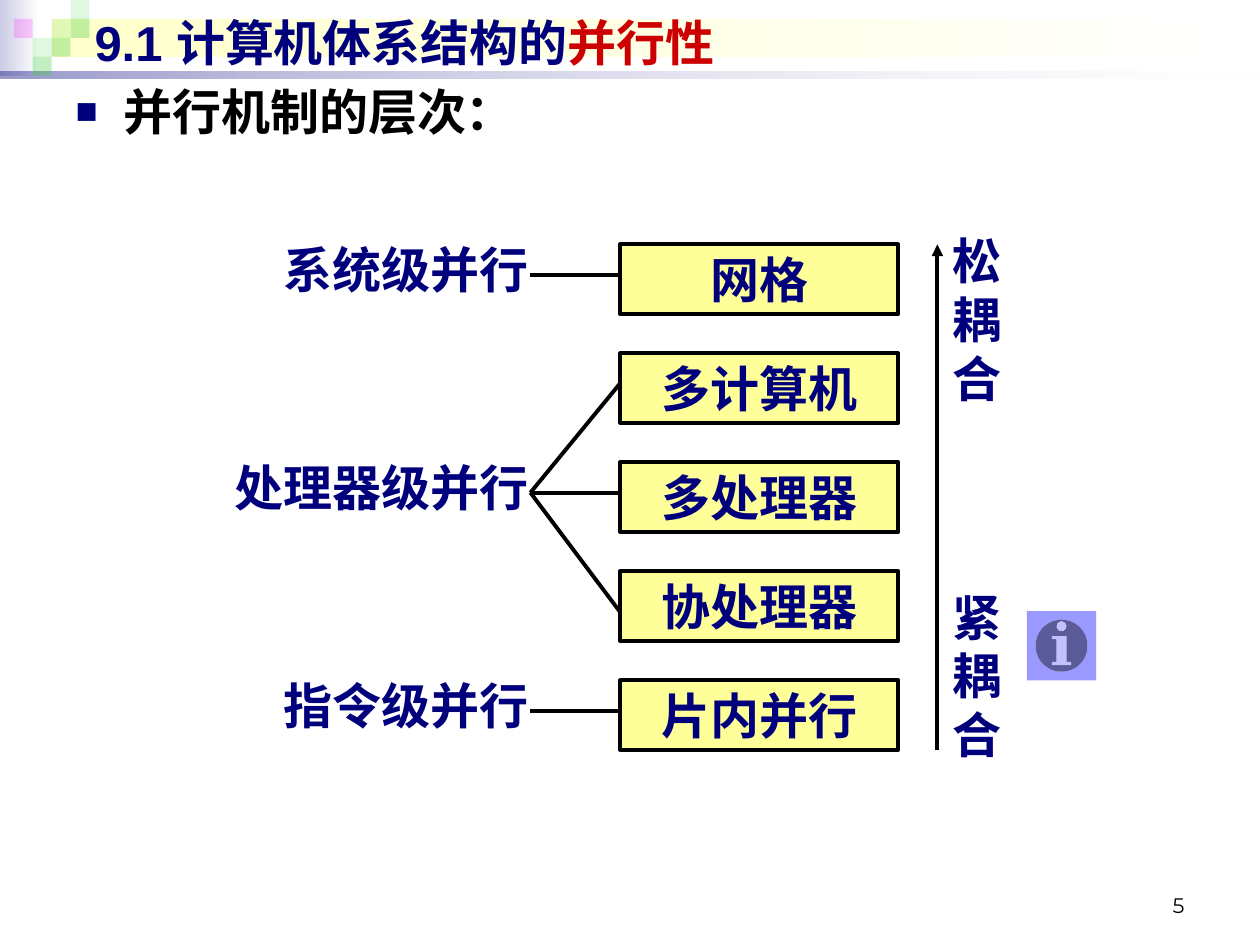
import pptx
import pptx.util
from lxml import etree
from pptx.dml.color import RGBColor
from pptx.enum.shapes import MSO_CONNECTOR, MSO_SHAPE
from pptx.enum.text import MSO_ANCHOR, MSO_AUTO_SIZE, PP_ALIGN
from pptx.oxml.ns import qn
from pptx.util import Inches, Pt

NAVY = RGBColor(0x00, 0x00, 0x7D)
RED = RGBColor(0xCC, 0x00, 0x00)
BLACK = RGBColor(0x00, 0x00, 0x00)
WHITE = RGBColor(0xFF, 0xFF, 0xFF)
YELLOW = RGBColor(0xFF, 0xFF, 0x99)
CREAM = RGBColor(0xFF, 0xFF, 0xCC)
LAVENDER = RGBColor(0xCC, 0xCC, 0xE6)
PERIWINKLE = RGBColor(0x99, 0x99, 0xFF)
GREEN = RGBColor(0x33, 0xCC, 0x33)
MAGENTA = RGBColor(0xFF, 0x00, 0xFF)

# Content
TITLE_RUNS = [("9.1 计算机体系结构的", NAVY), ("并行性", RED)]
HEADING = "并行机制的层次："
MECHANISMS = ["网格", "多计算机", "多处理器", "协处理器", "片内并行"]
# level, row of its label, {row of mechanism: where its link meets the box}
LEVELS = [
    ("系统级并行", 0, {0: 0.24}),
    ("处理器级并行", 2, {1: 0.24, 2: 0.24, 3: 0.32}),
    ("指令级并行", 4, {4: 0.24}),
]
COUPLINGS = [("紧耦合", 4.61), ("松耦合", 1.78)]
PAGE_NUMBER = "5"

# Banner: left, top, width, height, (colour, opacity) at both ends
BANDS = [
    (0, 0, 0.31, 0.6, (LAVENDER, 100), (WHITE, 100)),
    (0.41, 0.15, 9.55, 0.3, (CREAM, 100), (WHITE, 100)),
    (0, 0.57, 10, 0.05, (NAVY, 40), (WHITE, 10)),
]
# Mosaic: column, row, colour, opacity
TILE, MOSAIC_LEFT = 0.15, 0.11
TILES = [
    (2, 1, GREEN, 15), (3, 0, GREEN, 15), (3, 1, GREEN, 30), (1, 2, GREEN, 15),
    (0, 1, MAGENTA, 20), (2, 2, GREEN, 30), (1, 3, GREEN, 30),
]

# Diagram grid
BOX_LEFT, BOX_WIDTH, BOX_HEIGHT = 4.92, 2.21, 0.55
FIRST_TOP, LAST_TOP = 1.94, 5.4
ROW_TOPS = [FIRST_TOP + row * (LAST_TOP - FIRST_TOP) / (len(MECHANISMS) - 1)
            for row in range(len(MECHANISMS))]
LINK_LEFT, LINK_DROP = 4.21, 0.24
ARROW_X = 7.44

deck = pptx.Presentation()
deck.slide_width, deck.slide_height = Inches(10), Inches(7.5)
slide = deck.slides.add_slide(deck.slide_layouts[1])
shapes = slide.shapes


def inches(*lengths):
    return [Inches(length) for length in lengths]


def set_opacity(color_parent, *percents):
    colors = color_parent.iter(qn("a:srgbClr"))
    for color, percent in zip(colors, percents):
        if percent < 100:
            etree.SubElement(color, qn("a:alpha"), val=str(percent * 1000))


def add_block(kind, left, top, width, height, color=None):
    block = shapes.add_shape(kind, *inches(left, top, width, height))
    block.shadow.inherit = False
    block.line.fill.background()
    if color is not None:
        block.fill.solid()
        block.fill.fore_color.rgb = color
    return block


def style(paragraph, align, font="Times New Roman", size=28, color=NAVY, bold=True):
    paragraph.alignment = align
    paragraph.space_before = Pt(0)
    paragraph.font.name = font
    paragraph.font.size = Pt(size)
    paragraph.font.bold = bold
    if color is not None:
        paragraph.font.color.rgb = color


def add_label(text, left, top, width, height, align, **look):
    frame = shapes.add_textbox(*inches(left, top, width, height)).text_frame
    frame.word_wrap = True
    frame.text = text
    style(frame.paragraphs[0], align, **look)
    return frame


def add_line(x1, y1, x2, y2):
    line = shapes.add_connector(MSO_CONNECTOR.STRAIGHT, *inches(x1, y1, x2, y2))
    line.line.color.rgb = BLACK
    line.line.width = Pt(2.25)
    etree.SubElement(line.element.spPr, qn("a:effectLst"))
    return line


def place(holder, left, top, width, height):
    holder.left, holder.top, holder.width, holder.height = inches(left, top, width, height)
    holder.text_frame.auto_size = MSO_AUTO_SIZE.NONE
    shapes.element.append(holder.element)  # in front of the banner


# Banner
for left, top, width, height, start, end in BANDS:
    band = add_block(MSO_SHAPE.RECTANGLE, left, top, width, height)
    band.fill.gradient()
    band.fill.gradient_angle = 0
    for stop, position, (color, _) in zip(band.fill.gradient_stops, (0, 1), (start, end)):
        stop.position = position
        stop.color.rgb = color
    set_opacity(band.element.spPr, start[1], end[1])
for column, row, color, opacity in TILES:
    tile = add_block(MSO_SHAPE.RECTANGLE, MOSAIC_LEFT + column * TILE, row * TILE,
                     TILE, TILE, color)
    set_opacity(tile.element.spPr, opacity)

# Page number
page_frame = add_label(PAGE_NUMBER, 7.17, 6.83, 2.33, 0.5, PP_ALIGN.RIGHT,
                       font="Montserrat", size=12, color=BLACK, bold=False)
page_frame.vertical_anchor = MSO_ANCHOR.BOTTOM

# Title
title = shapes.title
body = slide.placeholders[1]
place(title, 0.65, 0.05, 9, 0.57)
title.text_frame.vertical_anchor = MSO_ANCHOR.MIDDLE
title_line = title.text_frame.paragraphs[0]
for text, color in TITLE_RUNS:
    run = title_line.add_run()
    run.text = text
    run.font.color.rgb = color
style(title_line, PP_ALIGN.LEFT, font="Arial", color=None)

# Heading with a square bullet
place(body, 0.5, 0.6, 9.15, 6.69)
body.text_frame.text = HEADING
heading = body.text_frame.paragraphs[0]
bullet = heading._p.get_or_add_pPr()
bullet.set("marL", str(Inches(0.38)))
bullet.set("indent", str(-Inches(0.38)))
bullet_color = etree.SubElement(bullet, qn("a:buClr"))
etree.SubElement(bullet_color, qn("a:srgbClr"), val=str(NAVY))
etree.SubElement(bullet, qn("a:buSzPct"), val="75000")
etree.SubElement(bullet, qn("a:buChar"), char="■")
style(heading, PP_ALIGN.LEFT, color=BLACK)

# Mechanisms
for mechanism, top in zip(MECHANISMS, ROW_TOPS):
    box = add_block(MSO_SHAPE.RECTANGLE, BOX_LEFT, top, BOX_WIDTH, BOX_HEIGHT, YELLOW)
    box.line.color.rgb = BLACK
    box.line.width = Pt(2.25)
    box.text_frame.word_wrap = False
    box.text_frame.vertical_anchor = MSO_ANCHOR.MIDDLE
    box.text_frame.text = mechanism
    style(box.text_frame.paragraphs[0], PP_ALIGN.CENTER)

# Coupling axis
axis = add_line(ARROW_X, LAST_TOP + BOX_HEIGHT, ARROW_X, FIRST_TOP)
etree.SubElement(axis.line._get_or_add_ln(), qn("a:tailEnd"), type="triangle")
for coupling, top in COUPLINGS:
    add_label(coupling, ARROW_X, top, 0.63, 1.5, PP_ALIGN.CENTER)

# Levels and their links
for level, label_row, links in LEVELS:
    label_top = ROW_TOPS[label_row]
    add_label(level, 1.61, label_top - 0.09, 2.68, 0.57, PP_ALIGN.RIGHT)
    for row, drop in links.items():
        add_line(BOX_LEFT, ROW_TOPS[row] + drop, LINK_LEFT, label_top + LINK_DROP)

# Information button
add_block(MSO_SHAPE.ACTION_BUTTON_INFORMATION, 8.15, 4.85, 0.55, 0.55, PERIWINKLE)

deck.save("out.pptx")
